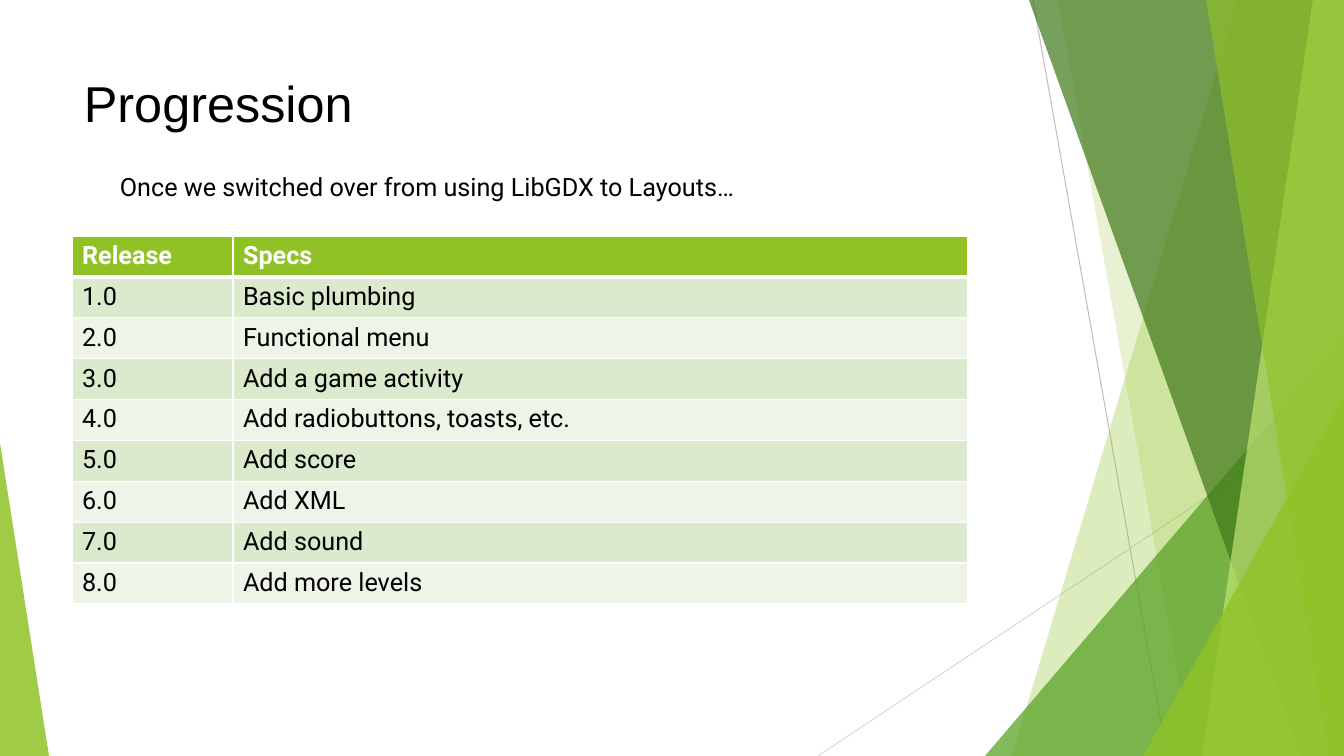
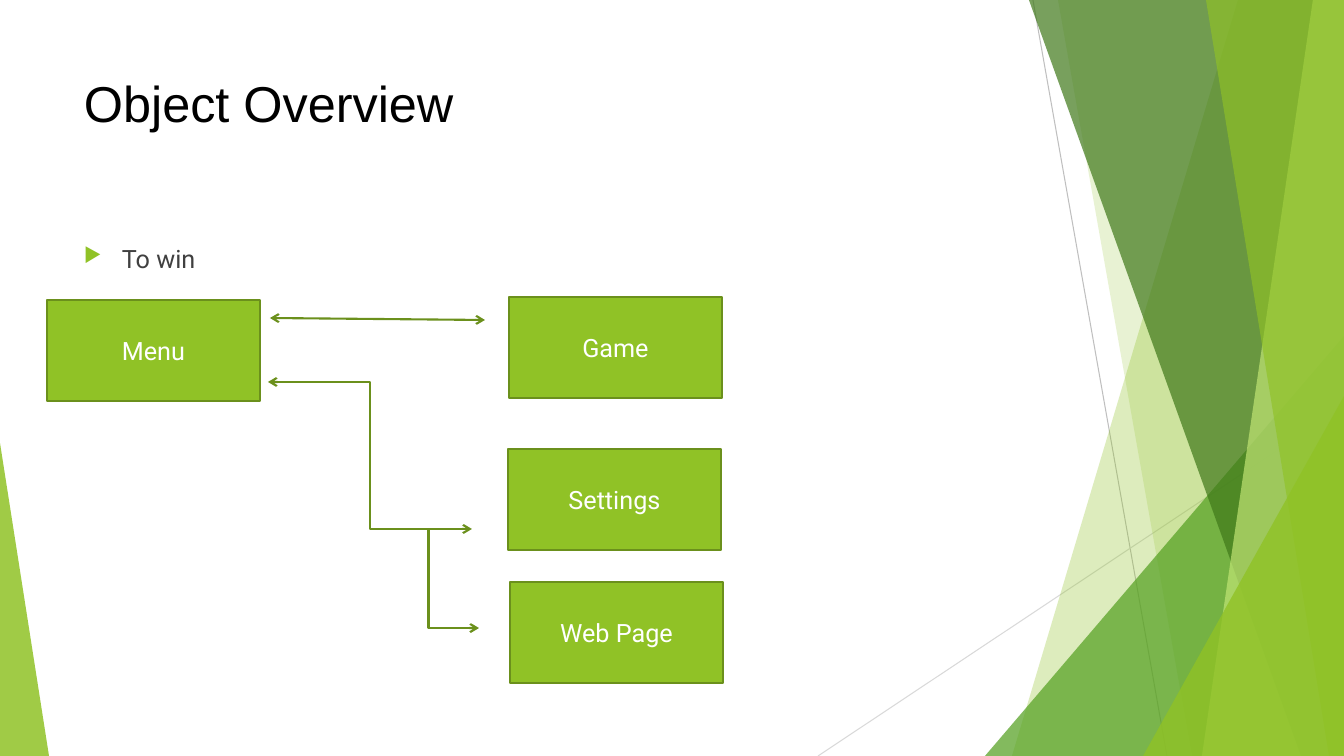
from dataclasses import dataclass
from typing import NamedTuple

from lxml import etree
from pptx import Presentation
from pptx import util as u
from pptx.dml import color
from pptx.enum import shapes, text
from pptx.oxml import ns

PX_PER_INCH = 100.8


@dataclass(frozen=True)
class Theme:
    lime: str = "90C226"
    green: str = "54A021"
    forest: str = "3F7819"
    pale: str = "C0E474"
    outline: str = "6B901C"
    band_dark: str = "DBE9CD"
    band_light: str = "EEF4E8"
    ray_dark: str = "BFBFBF"
    ray_light: str = "D9D9D9"
    black: str = "000000"
    body: str = "404040"
    white: str = "FFFFFF"
    title_font: str = "Arial"
    body_font: str = "Roboto"
    title_pt: int = 36
    body_pt: int = 18
    ray_pt: float = 0.75
    line_pt: float = 1.5


class Box(NamedTuple):
    x: int
    y: int
    w: int
    h: int

    def inner(self, x, y, w, h):
        return Box(self.x + x, self.y + y, w, h)

    def emu(self):
        return [px(n) for n in self]


T = Theme()
SLIDE = Box(0, 0, 1344, 756)
TITLE = Box(74, 67, 948, 145)


def px(n):
    return u.Emu(round(n * 914400 / PX_PER_INCH))


def rgb(value):
    return color.RGBColor.from_string(value)


def sub(parent, tag, **attrs):
    el = etree.SubElement(parent, ns.qn(tag))
    for name, value in attrs.items():
        el.set(name, str(value))
    return el


def apply(obj, **values):
    for name, value in values.items():
        setattr(obj, name, value)


# ---- shared parts ----
def write(tf, words, ink, font=T.body_font, pt=T.body_pt, bold=False, align=None):
    p = tf.paragraphs[0]
    p.alignment = align
    r = p.add_run()
    r.text = words
    apply(r.font, name=font, size=u.Pt(pt), bold=bold)
    r.font.color.rgb = rgb(ink)
    return p


def text_box(s, box, words, ink, **style):
    tf = s.shapes.add_textbox(*box.emu()).text_frame
    tf.word_wrap = True
    return write(tf, words, ink, **style)


def paint(sp, fill, alpha=100, line=None):
    sp.shadow.inherit = False
    sp.fill.solid()
    sp.fill.fore_color.rgb = rgb(fill)
    if alpha < 100:
        clr = sp.element.spPr.find(ns.qn("a:solidFill"))[0]
        sub(clr, "a:alpha", val=alpha * 1000)
    if line:
        sp.line.color.rgb = rgb(line)
        sp.line.width = u.Pt(T.line_pt)
    else:
        sp.line.fill.background()


def connect(s, box, kind, start, end, ink, pt, heads=()):
    ends = [px(n) for x, y in (start, end) for n in (box.x + x, box.y + y)]
    c = s.shapes.add_connector(kind, *ends)
    c.line.color.rgb = rgb(ink)
    c.line.width = u.Pt(pt)
    ln = c.element.spPr.find(ns.qn("a:ln"))
    for tag in heads:
        sub(ln, tag, type="arrow")
    sub(c.element.spPr, "a:effectLst")


def shard(s, box, top_x, bottom_x, fill, alpha):
    """Full-height pane between a slanted left edge and the right margin."""
    right, bottom = box.x + box.w, box.y + box.h
    fb = s.shapes.build_freeform(px(box.x + top_x), px(box.y))
    corners = [(right, box.y), (right, bottom), (box.x + bottom_x, bottom)]
    fb.add_line_segments([(px(x), px(y)) for x, y in corners])
    paint(fb.convert_to_shape(), fill, alpha)


def wedge(s, box, x, width, height, apex, fill, alpha):
    """Right triangle standing on the bottom edge."""
    place = box.inner(x, box.h - height, width, height)
    sp = s.shapes.add_shape(shapes.MSO_SHAPE.ISOSCELES_TRIANGLE, *place.emu())
    sp.adjustments[0] = apex
    paint(sp, fill, alpha)


def backdrop(s, box):
    straight = shapes.MSO_CONNECTOR.STRAIGHT
    connect(s, box, straight, (1033, 0), (1167, 756), T.ray_dark, T.ray_pt)
    connect(s, box, straight, (1344, 406), (818, 756), T.ray_light, T.ray_pt)
    shard(s, box, 1238, 1012, T.lime, 30)
    shard(s, box, 1058, 1192, T.lime, 20)
    wedge(s, box, 985, 359, 420, 1, T.green, 72)
    shard(s, box, 1029, 1301, T.forest, 70)
    shard(s, box, 1313, 1202, T.pale, 70)
    shard(s, box, 1206, 1329, T.lime, 65)
    wedge(s, box, 1143, 201, 360, 1, T.lime, 80)
    wedge(s, box, 0, 49, 313, 0, T.lime, 85)


def new_slide(prs, title):
    s = prs.slides.add_slide(prs.slide_layouts[6])
    backdrop(s, SLIDE)
    text_box(s, TITLE, title, T.black, font=T.title_font, pt=T.title_pt)
    return s


# ---- release table ----
def style_cell(cell, fill, bottom_pt):
    tc_pr = cell._tc.get_or_add_tcPr()
    for side in "LRTB":
        pt = bottom_pt if side == "B" else 1
        ln = sub(tc_pr, "a:ln" + side, w=u.Pt(pt))
        sub(sub(ln, "a:solidFill"), "a:srgbClr", val=T.white)
    cell.fill.solid()
    cell.fill.fore_color.rgb = rgb(fill)


def release_table(s, box, specs):
    rows = [("Release", "Specs")]
    rows += [(f"{n}.0", spec) for n, spec in enumerate(specs, 1)]
    tbl = s.shapes.add_table(len(rows), 2, *box.emu()).table
    first_w = 161
    for col, w in zip(tbl.columns, (first_w, box.w - first_w)):
        col.width = px(w)
    for i, row in enumerate(rows):
        tbl.rows[i].height = px(box.h / len(rows))
        head = i == 0
        fill = T.lime if head else (T.band_light, T.band_dark)[i % 2]
        for j, words in enumerate(row):
            cell = tbl.cell(i, j)
            style_cell(cell, fill, 3 if head else 1)
            write(cell.text_frame, words, T.white if head else T.black, bold=head)


def progression_slide(prs):
    s = new_slide(prs, "Progression")
    text_box(s, SLIDE.inner(110, 166, 700, 40),
             "Once we switched over from using LibGDX to Layouts…", T.black)
    release_table(s, SLIDE.inner(72, 236, 896, 368), [
        "Basic plumbing", "Functional menu", "Add a game activity",
        "Add radiobuttons, toasts, etc.", "Add score", "Add XML",
        "Add sound", "Add more levels"])


# ---- object diagram ----
def bullet_text(s, box, words):
    p = text_box(s, box, words, T.body)
    p_pr = p._p.get_or_add_pPr()
    apply_indent = {"marL": px(38), "indent": -px(38)}
    for name, value in apply_indent.items():
        p_pr.set(name, str(value))
    sub(sub(p_pr, "a:buClr"), "a:srgbClr", val=T.lime)
    sub(p_pr, "a:buSzPct", val=80000)
    sub(p_pr, "a:buChar", char="▶")


def object_diagram(s, box):
    nodes = [("Menu", 0, 3), ("Game", 462, 0),
             ("Settings", 461, 152), ("Web Page", 463, 285)]
    for name, x, y in nodes:
        place = box.inner(x, y, 213, 101)
        sp = s.shapes.add_shape(shapes.MSO_SHAPE.RECTANGLE, *place.emu())
        paint(sp, T.lime, line=T.outline)
        sp.text_frame.vertical_anchor = text.MSO_ANCHOR.MIDDLE
        write(sp.text_frame, name, T.white, align=text.PP_ALIGN.CENTER)

    kinds = shapes.MSO_CONNECTOR
    both = ("a:headEnd", "a:tailEnd")
    links = [(kinds.STRAIGHT, (223, 21), (438, 23), both),
             (kinds.ELBOW, (221, 85), (425, 232), both),
             (kinds.ELBOW, (331, 232), (432, 331), both[1:])]
    for kind, start, end, heads in links:
        connect(s, box, kind, start, end, T.outline, T.line_pt, heads)


def overview_slide(prs):
    s = new_slide(prs, "Object Overview")
    bullet_text(s, SLIDE.inner(74, 238, 948, 427), "To win")
    object_diagram(s, SLIDE.inner(47, 297, 676, 386))


def main():
    prs = Presentation()
    apply(prs, slide_width=px(SLIDE.w), slide_height=px(SLIDE.h))
    progression_slide(prs)
    overview_slide(prs)
    prs.save("out.pptx")


if __name__ == "__main__":
    main()
